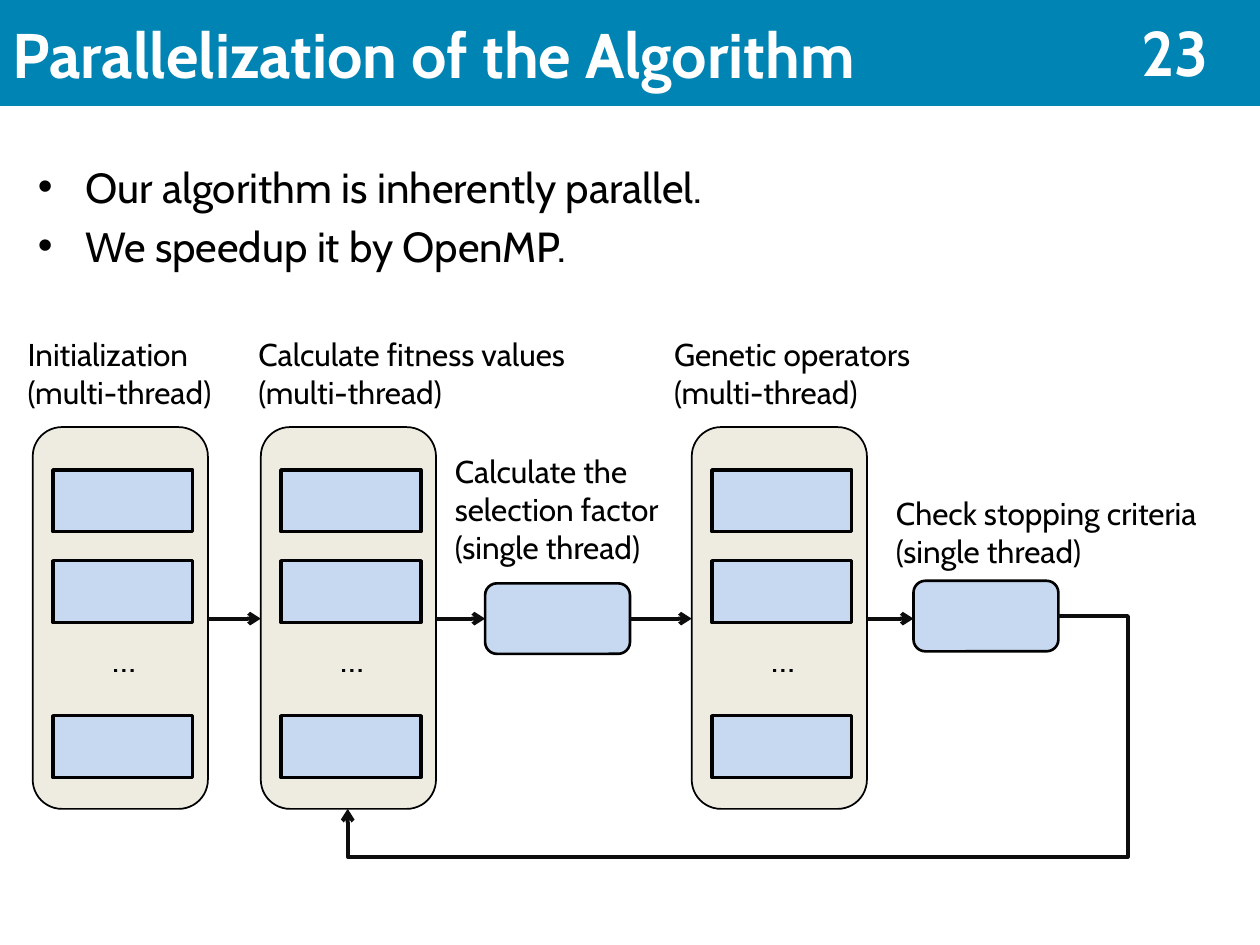
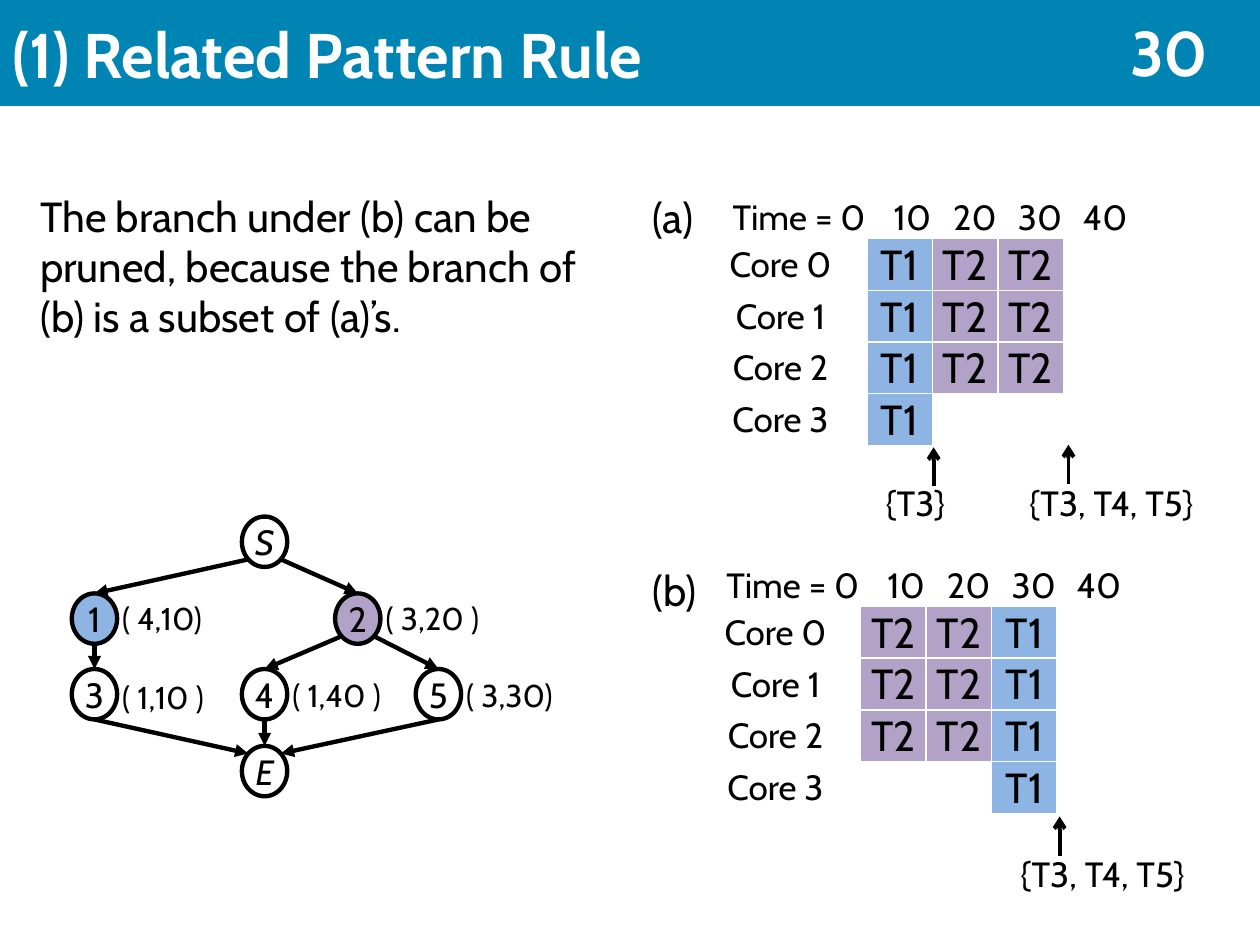
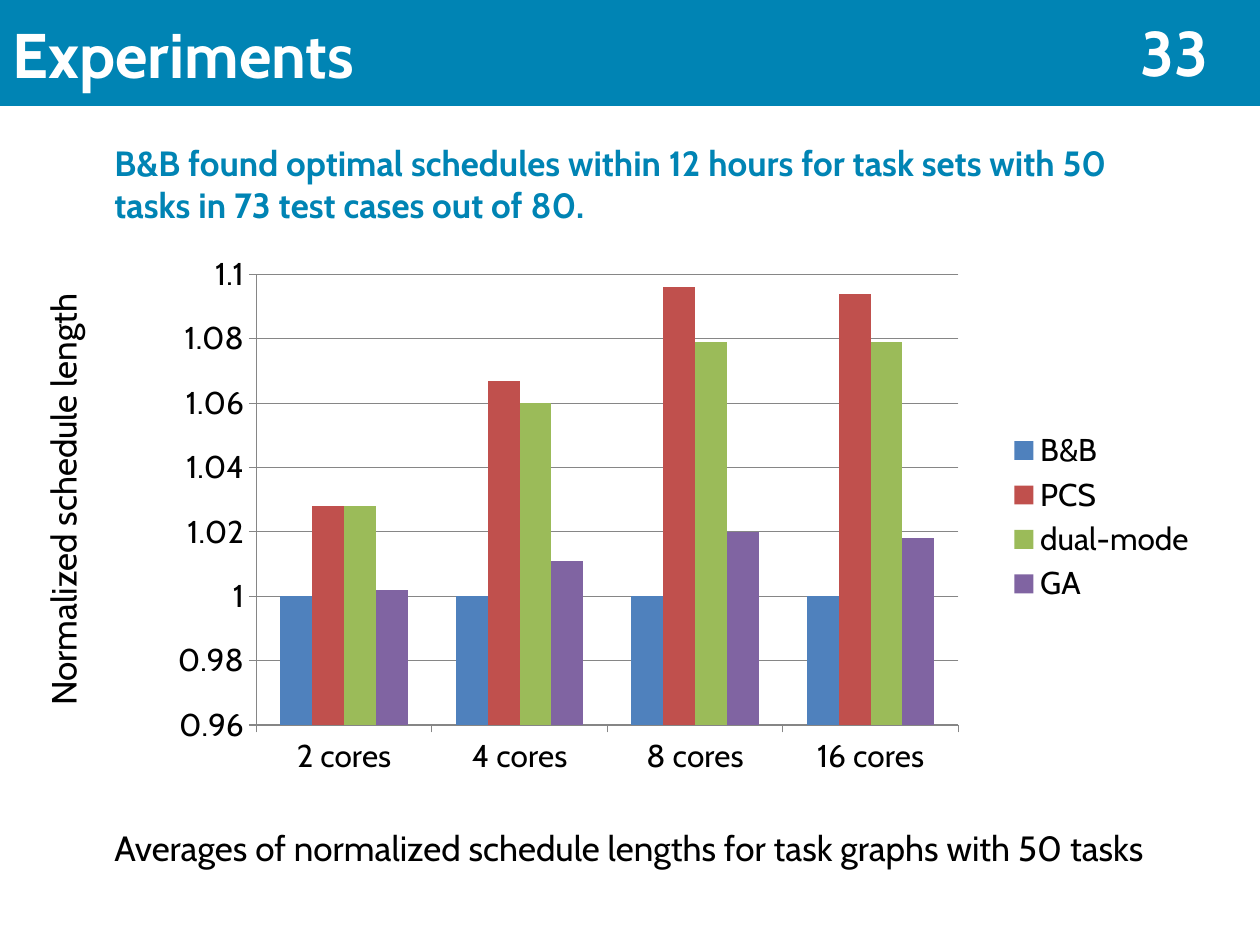
from dataclasses import dataclass, replace

from lxml import etree
from pptx import Presentation
from pptx.chart.data import CategoryChartData
from pptx.dml.color import RGBColor
from pptx.enum.chart import XL_CHART_TYPE, XL_LEGEND_POSITION, XL_TICK_MARK
from pptx.enum.shapes import MSO_CONNECTOR, MSO_SHAPE
from pptx.enum.text import MSO_ANCHOR, MSO_AUTO_SIZE, PP_ALIGN
from pptx.oxml import parse_xml
from pptx.oxml.ns import nsdecls, qn
from pptx.util import Emu, Pt

EMU_PER_PX = 9144  # 100 px to the inch
FONT = "Cabin"
COLORS = {
    "band": "0084B4", "white": "FFFFFF", "black": "000000", "flow": "0D0D0D",
    "panel": "EEECE1", "task": "C6D9F1", "T1": "8EB4E3", "T2": "B3A2C7",
    "grid": "868686", "B&B": "4F81BD", "PCS": "C0504D",
    "dual-mode": "9BBB59", "GA": "8064A2",
}

LEFT, CENTER, RIGHT = PP_ALIGN.LEFT, PP_ALIGN.CENTER, PP_ALIGN.RIGHT
TOP, MIDDLE = MSO_ANCHOR.TOP, MSO_ANCHOR.MIDDLE
RECTANGLE, OVAL = MSO_SHAPE.RECTANGLE, MSO_SHAPE.OVAL
ROUNDED = MSO_SHAPE.ROUNDED_RECTANGLE
STRAIGHT, ELBOW = MSO_CONNECTOR.STRAIGHT, MSO_CONNECTOR.ELBOW
GROW, FIXED = MSO_AUTO_SIZE.SHAPE_TO_FIT_TEXT, MSO_AUTO_SIZE.NONE
CLUSTERED = XL_CHART_TYPE.COLUMN_CLUSTERED
LEGEND_RIGHT = XL_LEGEND_POSITION.RIGHT
TICK_OUTSIDE, TICK_NONE = XL_TICK_MARK.OUTSIDE, XL_TICK_MARK.NONE


@dataclass(frozen=True)
class Box:
    left: int
    top: int
    width: int
    height: int

    @property
    def right(self) -> int:
        return self.left + self.width


@dataclass(frozen=True)
class TextStyle:
    size: int = 20
    color: str = "black"
    bold: bool = False
    italic: bool = False
    align: PP_ALIGN = LEFT
    anchor: MSO_ANCHOR = TOP
    margins: tuple = (10, 5, 10, 5)
    wrap: bool = True
    grow: bool = True


@dataclass(frozen=True)
class Stage:
    box: Box
    caption_box: Box
    caption: list
    threaded: bool


@dataclass(frozen=True)
class Schedule:
    label: str
    label_box: Box
    left: int
    top: int
    first_column: int
    rows: list


@dataclass(frozen=True)
class Marker:
    x: int
    top: int
    text_box: Box
    text: str


@dataclass(frozen=True)
class Node:
    x: int
    y: int
    fill: str = ""
    weight: str = ""
    weight_drop: int = 0


TITLE = TextStyle(36, "white", bold=True, anchor=MIDDLE, grow=False)
PAGE_NUMBER = replace(TITLE, align=RIGHT)
NOTE = TextStyle()
BODY = TextStyle(24, grow=False)
STATEMENT = TextStyle(24)
SCHEDULE_LABEL = TextStyle(24, wrap=False)
CAPTION = TextStyle(18, margins=(4, 4, 4, 4), wrap=False)
DOTS = TextStyle(align=CENTER)
NODE = TextStyle(align=CENTER, anchor=MIDDLE, margins=(0, 0, 0, 0), grow=False)
WEIGHT = TextStyle(18, anchor=MIDDLE, margins=(4, 0, 4, 0), wrap=False)
FINDING = TextStyle(color="band", bold=True)


# Shared helpers
def px(value: int) -> Emu:
    return Emu(round(value * EMU_PER_PX))


def rgb(name: str) -> RGBColor:
    return RGBColor.from_string(COLORS[name])


def place(box: Box) -> tuple:
    return px(box.left), px(box.top), px(box.width), px(box.height)


def add_run(paragraph, text: str, style: TextStyle) -> None:
    paragraph.alignment = style.align
    run = paragraph.add_run()
    run.text = text
    run.font.name = FONT
    run.font.size = Pt(style.size)
    run.font.bold = style.bold
    run.font.italic = style.italic
    run.font.color.rgb = rgb(style.color)


def set_margins(target, margins: tuple) -> None:
    (target.margin_left, target.margin_top,
     target.margin_right, target.margin_bottom) = map(px, margins)


def fill_text(frame, lines: list, style: TextStyle) -> None:
    frame.word_wrap = style.wrap
    frame.auto_size = GROW if style.grow else FIXED
    frame.vertical_anchor = style.anchor
    set_margins(frame, style.margins)
    for index, line in enumerate(lines):
        paragraph = frame.add_paragraph() if index else frame.paragraphs[0]
        add_run(paragraph, line, style)


def add_text(shapes, box: Box, lines: list, style: TextStyle):
    shape = shapes.add_textbox(*place(box))
    fill_text(shape.text_frame, lines, style)
    return shape


def add_box(shapes, kind, box: Box, fill: str, line_width: float):
    shape = shapes.add_shape(kind, *place(box))
    shape.shadow.inherit = False
    if fill:
        shape.fill.solid()
        shape.fill.fore_color.rgb = rgb(fill)
    else:
        shape.fill.background()
    shape.line.color.rgb = rgb("black")
    shape.line.width = Pt(line_width)
    return shape


def add_arrow(shapes, start: tuple, end: tuple, color: str = "black",
              width: float = 2.25, head: str = "arrow", kind=STRAIGHT):
    connector = shapes.add_connector(kind, *map(px, start + end))
    connector.line.color.rgb = rgb(color)
    connector.line.width = Pt(width)
    etree.SubElement(connector.line._get_or_add_ln(), qn("a:tailEnd"), type=head)
    etree.SubElement(connector._element.spPr, qn("a:effectLst"))
    return connector


def add_slide(presentation, layout: int, title: str, number: str):
    slide = presentation.slides.add_slide(presentation.slide_layouts[layout])
    band = slide.shapes.title
    band.left, band.top, band.width, band.height = place(Box(0, 0, 1000, 84))
    band.fill.solid()
    band.fill.fore_color.rgb = rgb("band")
    fill_text(band.text_frame, [title], TITLE)
    add_text(slide.shapes, Box(736, 21, 233, 40), [number], PAGE_NUMBER)
    return slide


# Slide 1: flow of the parallel algorithm
PANEL_TOP, PANEL_WIDTH, PANEL_HEIGHT = 339, 139, 303
TASK_TOPS = (373, 445, 568)
FLOW_Y = 491
STAGES = [
    Stage(Box(26, PANEL_TOP, PANEL_WIDTH, PANEL_HEIGHT), Box(18, 262, 158, 69),
          ["Initialization", "(multi-thread)"], True),
    Stage(Box(207, PANEL_TOP, PANEL_WIDTH, PANEL_HEIGHT), Box(201, 262, 255, 69),
          ["Calculate fitness values", "(multi-thread)"], True),
    Stage(Box(385, 463, 115, 56), Box(357, 355, 190, 99),
          ["Calculate the", "selection factor", "(single thread)"], False),
    Stage(Box(549, PANEL_TOP, PANEL_WIDTH, PANEL_HEIGHT), Box(531, 262, 216, 69),
          ["Genetic operators", "(multi-thread)"], True),
    Stage(Box(725, 461, 115, 56), Box(707, 388, 265, 69),
          ["Check stopping criteria", "(single thread)"], False),
]


def add_stage(shapes, stage: Stage) -> None:
    if stage.threaded:
        add_box(shapes, ROUNDED, stage.box, "panel", 1)
        for top in TASK_TOPS:
            add_box(shapes, RECTANGLE, Box(stage.box.left + 16, top, 111, 49), "task", 2)
        add_text(shapes, Box(stage.box.left + 29, 501, 87, 44), ["…"], DOTS)
    else:
        add_box(shapes, ROUNDED, stage.box, "task", 1.5)
    add_text(shapes, stage.caption_box, stage.caption, CAPTION)


def add_return_arrow(shapes) -> None:
    connector = add_arrow(shapes, (840, 489), (276, 642), "flow", kind=ELBOW)
    geometry = connector._element.spPr.find(qn("a:prstGeom"))
    geometry.set("prst", "bentConnector4")
    guides = geometry.find(qn("a:avLst"))
    if guides is None:
        guides = etree.SubElement(geometry, qn("a:avLst"))
    for name, value in (("adj1", -9800), ("adj2", 124800)):
        etree.SubElement(guides, qn("a:gd"), name=name, fmla=f"val {value}")


def build_flow_slide(presentation) -> None:
    slide = add_slide(presentation, 1, "Parallelization of the Algorithm", "23")
    body = slide.placeholders[1]
    body.left, body.top, body.width, body.height = place(Box(20, 123, 945, 118))
    fill_text(body.text_frame, ["Our algorithm is inherently parallel.",
                                "We speedup it by OpenMP."], BODY)
    for stage in STAGES:
        add_stage(slide.shapes, stage)
    for stage, following in zip(STAGES, STAGES[1:]):
        add_arrow(slide.shapes, (stage.box.right, FLOW_Y),
                  (following.box.left, FLOW_Y), "flow")
    add_return_arrow(slide.shapes)


# Slide 2: schedules and task graph
TIMES = ["Time = 0", "10", "20", "30", "40"]
SCHEDULES = [
    Schedule("(a)", Box(508, 147, 66, 50), 551, 155, 137,
             [["T1", "T2", "T2", ""]] * 3 + [["T1", "", "", ""]]),
    Schedule("(b)", Box(508, 443, 59, 50), 548, 447, 135,
             [["T2", "T2", "T1", ""]] * 3 + [["", "", "T1", ""]]),
]
MARKERS = [
    Marker(741, 355, Box(693, 377, 96, 44), "{T3}"),
    Marker(848, 353, Box(807, 377, 189, 44), "{T3, T4, T5}"),
    Marker(841, 648, Box(800, 672, 189, 44), "{T3, T4, T5}"),
]
NODE_WIDTH, NODE_HEIGHT = 36, 40
DIAGONAL_X, DIAGONAL_Y = 13, 14  # where a slanted edge meets a node
NODES = {
    "S": Node(210, 430),
    "1": Node(75, 491, "T1", "( 4,10)"),
    "2": Node(284, 491, "T2", "( 3,20 )"),
    "3": Node(75, 551, weight="( 1,10 )", weight_drop=3),
    "4": Node(210, 551, weight="( 1,40 )", weight_drop=1),
    "5": Node(348, 551, weight="( 3,30)", weight_drop=1),
    "E": Node(210, 612),
}
EDGES = ["S1", "S2", "13", "24", "25", "3E", "4E", "5E"]


def format_cell(cell, text: str, align: PP_ALIGN, size: int) -> None:
    properties = cell._tc.get_or_add_tcPr()
    for side in ("lnL", "lnR", "lnT", "lnB"):
        properties.append(parse_xml(
            f'<a:{side} {nsdecls("a")} w="12700"><a:solidFill>'
            f'<a:srgbClr val="{COLORS["white"]}"/></a:solidFill></a:{side}>'))
    set_margins(cell, (1, 1, 1, 0))
    cell.vertical_anchor = MIDDLE
    if text in ("T1", "T2"):
        cell.fill.solid()
        cell.fill.fore_color.rgb = rgb(text)
    else:
        cell.fill.background()
    if text:
        add_run(cell.text_frame.paragraphs[0], text, TextStyle(size, align=align))


def add_schedule(shapes, schedule: Schedule) -> None:
    rows = [TIMES] + [[f"Core {core}"] + tasks
                      for core, tasks in enumerate(schedule.rows)]
    widths = [schedule.first_column] + [52] * 4
    box = Box(schedule.left, schedule.top, sum(widths), 196)
    table = shapes.add_table(len(rows), len(widths), *place(box)).table
    table.first_row = table.horz_banding = False
    for column, width in zip(table.columns, widths):
        column.width = px(width)
    for index, texts in enumerate(rows):
        table.rows[index].height = px(40 if index else 34)
        for column, text in enumerate(texts):
            format_cell(table.cell(index, column), text,
                        CENTER if index else RIGHT,
                        24 if index and column else 20)
    add_text(shapes, schedule.label_box, [schedule.label], SCHEDULE_LABEL)


def add_node(shapes, name: str, node: Node) -> None:
    box = Box(node.x - NODE_WIDTH // 2, node.y - NODE_HEIGHT // 2,
              NODE_WIDTH, NODE_HEIGHT)
    shape = add_box(shapes, OVAL, box, node.fill, 2.5)
    fill_text(shape.text_frame, [name], replace(NODE, italic=name.isalpha()))
    if node.weight:
        add_text(shapes, Box(box.right, node.y - 19 + node.weight_drop, 83, 37),
                 [node.weight], WEIGHT)


def add_edge(shapes, parent: Node, child: Node) -> None:
    side = (child.x > parent.x) - (child.x < parent.x)
    start = (parent.x, parent.y + NODE_HEIGHT // 2)
    end = (child.x, child.y - NODE_HEIGHT // 2)
    if side and child is NODES["E"]:
        end = (child.x - side * DIAGONAL_X, child.y - DIAGONAL_Y)
    elif side:
        start = (parent.x + side * DIAGONAL_X, parent.y + DIAGONAL_Y)
    add_arrow(shapes, start, end, width=2.5, head="triangle")


def build_rule_slide(presentation) -> None:
    slide = add_slide(presentation, 5, "(1) Related Pattern Rule", "30")
    add_text(slide.shapes, Box(22, 146, 461, 131),
             ["The branch under (b) can be pruned, because the branch of "
              "(b) is a subset of (a)’s."], STATEMENT)
    for schedule in SCHEDULES:
        add_schedule(slide.shapes, schedule)
    for marker in MARKERS:
        add_arrow(slide.shapes, (marker.x, marker.top + 31), (marker.x, marker.top))
        add_text(slide.shapes, marker.text_box, [marker.text], NOTE)
    graph = slide.shapes.add_group_shape()
    for name, node in NODES.items():
        add_node(graph.shapes, name, node)
    for parent, child in EDGES:
        add_edge(graph.shapes, NODES[parent], NODES[child])


# Slide 3: chart of the experiments
CORES = ["2 cores", "4 cores", "8 cores", "16 cores"]
LENGTHS = {
    "B&B": (1, 1, 1, 1),
    "PCS": (1.028, 1.067, 1.096, 1.094),
    "dual-mode": (1.028, 1.06, 1.079, 1.079),
    "GA": (1.002, 1.011, 1.02, 1.018),
}
PLOT_LAYOUT = {"x": 0.15, "y": 0.055, "w": 0.626, "h": 0.826}


def set_plot_layout(chart) -> None:
    plot_area = chart._chartSpace.chart.plotArea
    for old in plot_area.findall(qn("c:layout")):
        plot_area.remove(old)
    settings = {"layoutTarget": "inner", "xMode": "edge", "yMode": "edge", **PLOT_LAYOUT}
    items = "".join(f'<c:{name} val="{value}"/>' for name, value in settings.items())
    plot_area.insert(0, parse_xml(
        f'<c:layout {nsdecls("c")}><c:manualLayout>{items}</c:manualLayout></c:layout>'))


def add_length_chart(shapes) -> None:
    data = CategoryChartData(number_format="General")
    data.categories = CORES
    for name, values in LENGTHS.items():
        data.add_series(name, values)
    chart = shapes.add_chart(CLUSTERED, *place(Box(70, 194, 890, 433)), data).chart
    chart.has_title = False
    chart.font.name = FONT
    chart.font.size = Pt(18)
    chart.font.color.rgb = rgb("black")
    chart.has_legend = True
    chart.legend.position = LEGEND_RIGHT
    chart.legend.include_in_layout = False
    plot = chart.plots[0]
    plot.gap_width = 150
    plot.overlap = 0
    plot.vary_by_categories = False
    for series in plot.series:
        series.format.fill.solid()
        series.format.fill.fore_color.rgb = rgb(series.name)
    value_axis = chart.value_axis
    value_axis.minimum_scale, value_axis.maximum_scale = 0.96, 1.1
    value_axis.major_unit = 0.02
    value_axis.has_major_gridlines = True
    for axis in (chart.category_axis, value_axis):
        axis.major_tick_mark = TICK_OUTSIDE
        axis.minor_tick_mark = TICK_NONE
    for part in (chart.category_axis, value_axis, value_axis.major_gridlines):
        part.format.line.color.rgb = rgb("grid")
        part.format.line.width = Pt(0.75)
    set_plot_layout(chart)


def build_experiment_slide(presentation) -> None:
    slide = add_slide(presentation, 5, "Experiments", "33")
    add_length_chart(slide.shapes)
    add_text(slide.shapes, Box(81, 651, 868, 44),
             ["Averages of normalized schedule lengths for task graphs with 50 tasks"], NOTE)
    axis_label = add_text(slide.shapes, Box(28, 177, 54, 393),
                          ["Normalized schedule length"], NOTE)
    axis_label.rotation = 180
    axis_label.text_frame._txBody.bodyPr.set("vert", "eaVert")
    add_text(slide.shapes, Box(81, 107, 811, 77),
             ["B&B found optimal schedules within 12 hours for task sets with 50 "
              "tasks in 73 test cases out of 80."], FINDING)


def main() -> None:
    presentation = Presentation()
    presentation.slide_width, presentation.slide_height = px(1000), px(750)
    build_flow_slide(presentation)
    build_rule_slide(presentation)
    build_experiment_slide(presentation)
    presentation.save("out.pptx")


if __name__ == "__main__":
    main()
